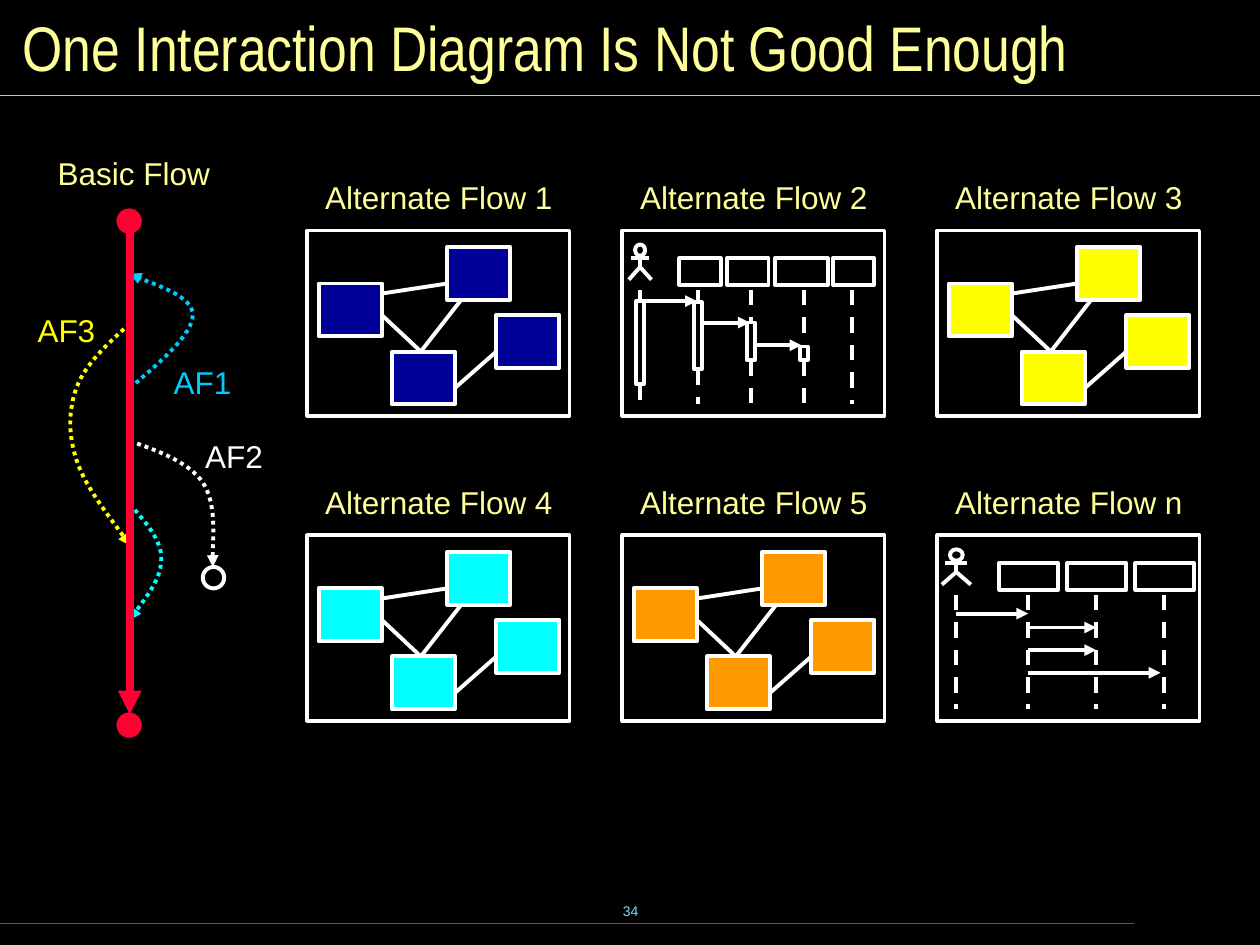
from lxml import etree
from pptx import Presentation
from pptx import util as u
from pptx.dml.color import RGBColor
from pptx.enum import dml, shapes, text
from pptx.oxml import ns

BLACK = RGBColor(0x00, 0x00, 0x00)
WHITE = RGBColor(0xFF, 0xFF, 0xFF)
CREAM = RGBColor(0xFF, 0xFF, 0x99)
RED = RGBColor(0xFF, 0x00, 0x33)
YELLOW = RGBColor(0xFF, 0xFF, 0x00)
CYAN = RGBColor(0x00, 0xFF, 0xFF)
SKY = RGBColor(0x00, 0xCC, 0xFF)
NAVY = RGBColor(0x00, 0x00, 0x99)
ORANGE = RGBColor(0xFF, 0x99, 0x00)
PALE_BLUE = RGBColor(0x73, 0xE1, 0xFF)
TEAL = RGBColor(0x00, 0x7E, 0x9F)

PANEL_W, PANEL_H = 2.08, 1.47
RECT = shapes.MSO_SHAPE.RECTANGLE
OVAL = shapes.MSO_SHAPE.OVAL


def style_line(line, color, width=2.25, dash=None, arrow=False):
    """Set colour, width, dash and end arrow of a line."""
    line.color.rgb = color
    line.width = u.Pt(width)
    if dash:
        line.dash_style = dash
    if arrow:
        outline = line._get_or_add_ln()
        etree.SubElement(outline, ns.qn("a:tailEnd"), type="triangle")


def add_line(parent, start, end, color=WHITE, **style):
    """Draw a straight line between two points."""
    line = parent.add_connector(shapes.MSO_CONNECTOR.STRAIGHT,
                                *map(u.Inches, (*start, *end)))
    style_line(line.line, color, **style)
    etree.SubElement(line.element.spPr, ns.qn("a:effectLst"))


def add_outline(parent, kind, box, color=WHITE, fill=None):
    """Draw a preset shape, hollow unless a fill is given."""
    outline = parent.add_shape(kind, *map(u.Inches, box))
    outline.shadow.inherit = False
    style_line(outline.line, color)
    if fill is None:
        outline.fill.background()
    else:
        outline.fill.solid()
        outline.fill.fore_color.rgb = fill


def add_polyline(parent, points, color=WHITE, **style):
    """Draw an open, unfilled outline through the points."""
    start, *rest = [tuple(map(u.Inches, point)) for point in points]
    builder = parent.build_freeform(*start)
    builder.add_line_segments(rest, close=False)
    outline = builder.convert_to_shape()
    outline.shadow.inherit = False
    outline.fill.background()
    style_line(outline.line, color, **style)
    return outline


def add_flow_curve(parent, points, color):
    """Draw a dotted arrow of Bezier segments, three points to a segment."""
    curve = add_polyline(parent, points, color, dash=dml.MSO_LINE.ROUND_DOT, arrow=True)
    steps = list(curve.element.iter(ns.qn("a:lnTo")))
    for first in range(0, len(steps), 3):
        bezier = etree.Element(ns.qn("a:cubicBezTo"))
        steps[first].addprevious(bezier)
        for step in steps[first:first + 3]:
            bezier.append(step[0])
            step.getparent().remove(step)


def add_label(parent, box, wording, color=CREAM, size=18, margins=(0.1, 0.05)):
    """Place a single line of text."""
    label = parent.add_textbox(*map(u.Inches, box))
    frame = label.text_frame
    frame.word_wrap = False
    frame.margin_left = frame.margin_right = u.Inches(margins[0])
    frame.margin_top = frame.margin_bottom = u.Inches(margins[1])
    frame.text = wording
    font = frame.paragraphs[0].runs[0].font
    font.name, font.size, font.color.rgb = "Arial", u.Pt(size), color
    return frame


def add_actor(parent, center, top, width):
    """Draw a stick figure around a centre line."""
    head, arm, leg = width * 0.44, width * 0.38, width / 2
    add_outline(parent, OVAL, (center - head / 2, top, head, 0.09))
    add_line(parent, (center, top + 0.09), (center, top + 0.18))
    add_line(parent, (center - arm, top + 0.11), (center + arm, top + 0.11))
    add_polyline(parent, [(center - leg, top + 0.28), (center, top + 0.18),
                          (center + leg, top + 0.28)])


def add_panel(slide, left, top, caption):
    """Place a captioned frame and return its group."""
    add_label(slide.shapes, (left + 0.14, top - 0.42, 1.81, 0.3), caption, margins=(0, 0))
    panel = slide.shapes.add_group_shape().shapes
    add_outline(panel, RECT, (left, top, PANEL_W, PANEL_H))
    return panel


def add_collaboration(slide, left, top, caption, fill):
    """Draw four linked objects in a panel."""
    panel = add_panel(slide, left, top, caption)
    links = [(0.59, 0.67, 0.9, 0.96), (0.59, 0.5, 1.11, 0.42),
             (0.9, 0.96, 1.22, 0.55), (1.17, 1.25, 1.5, 0.96)]
    for x1, y1, x2, y2 in links:
        add_line(panel, (left + x1, top + y1), (left + x2, top + y2))
    for x, y in [(0.09, 0.42), (0.67, 0.96), (1.5, 0.67), (1.11, 0.13)]:
        add_outline(panel, RECT, (left + x, top + y, 0.5, 0.42), fill=fill)


def add_sequence(slide, left, top, caption, actor_width, heads, lifelines, bars, messages):
    """Draw an actor, object heads, lifelines, activation bars and messages."""
    panel = add_panel(slide, left, top, caption)
    add_actor(panel, left + lifelines[0], top + 0.11, actor_width)
    for x, width in heads:
        add_outline(panel, RECT, (left + x, top + 0.22, width, 0.21))
    for index, x in enumerate(lifelines):
        spans = [(0.47, 1.38)]
        if index < len(bars):
            start, height = bars[index]
            spans = [(0.47, start), (start + height, 1.38)]
            add_outline(panel, RECT, (left + x - 0.03, top + start, 0.06, height))
        for y1, y2 in spans:
            add_line(panel, (left + x, top + y1), (left + x, top + y2),
                     dash=dml.MSO_LINE.DASH)
    for x1, x2, y in messages:
        add_line(panel, (left + x1, top + y), (left + x2, top + y), arrow=True)


def add_basic_flow(slide, left, top):
    """Draw the basic flow line with its alternate flow branches."""
    parent = slide.shapes
    curves = [
        (YELLOW, [(0, 0.9), (-0.18, 1.06), (-0.35, 1.22), (-0.42, 1.4), (-0.49, 1.59),
                  (-0.49, 1.78), (-0.42, 1.99), (-0.35, 2.2), (-0.07, 2.55), (0, 2.66)]),
        (CYAN, [(0, 2.33), (0.12, 2.47), (0.25, 2.61), (0.25, 2.76), (0.25, 2.92),
                (0.12, 3.08), (0, 3.25)]),
        (SKY, [(0, 1.41), (0.25, 1.2), (0.5, 0.98), (0.5, 0.83), (0.5, 0.68),
               (0.08, 0.55), (0, 0.5)]),
        (WHITE, [(0, 1.83), (0.23, 1.91), (0.47, 2), (0.58, 2.16), (0.69, 2.33),
                 (0.65, 2.72), (0.66, 2.83)]),
    ]
    for color, points in curves:
        add_flow_curve(parent, [(left + x, top + y) for x, y in points], color)
    for x, y, color, fill in [(-0.09, 4, RED, RED), (-0.09, 0, RED, RED),
                              (0.58, 2.83, WHITE, None)]:
        add_outline(parent, OVAL, (left + x, top + y, 0.17, 0.17), color, fill)
    for x, y, width, wording, color in [
            (0.25, 1.16, 0.66, "AF1", SKY), (0.5, 1.75, 0.66, "AF2", WHITE),
            (-0.83, 0.75, 0.66, "AF3", YELLOW), (-0.67, -0.5, 1.41, "Basic Flow", CREAM)]:
        add_label(parent, (left + x, top + y, width, 0.4), wording, color)
    add_line(parent, (left, top + 0.16), (left, top + 4), RED, width=4.5, arrow=True)


def add_title(slide, left, top, width, height):
    """Move and format the title placeholder."""
    title = slide.shapes.title
    title.left, title.top, title.width, title.height = map(
        u.Inches, (left, top, width, height))
    frame = title.text_frame
    frame.text = "One Interaction Diagram Is Not Good Enough"
    frame.vertical_anchor = text.MSO_ANCHOR.MIDDLE
    frame.auto_size = text.MSO_AUTO_SIZE.NONE
    frame.paragraphs[0].alignment = text.PP_ALIGN.LEFT
    font = frame.paragraphs[0].runs[0].font
    font.name, font.size, font.color.rgb = "Arial Narrow", u.Pt(36), CREAM


def add_page_furniture(slide):
    """Draw the header and footer rules and the page number."""
    add_line(slide.shapes, (0, 7.33), (9, 7.33), TEAL, width=0.75)
    add_line(slide.shapes, (0, 0.76), (10, 0.76), PALE_BLUE, width=0.75)
    number = add_label(slide.shapes, (3.42, 6.98, 3.17, 0.5), "34", PALE_BLUE, 8)
    number.vertical_anchor = text.MSO_ANCHOR.MIDDLE
    number.paragraphs[0].alignment = text.PP_ALIGN.CENTER


def main():
    """Build and save the slide."""
    deck = Presentation()
    deck.slide_width, deck.slide_height = u.Inches(10), u.Inches(7.5)
    slide = deck.slides.add_slide(deck.slide_layouts[5])
    slide.background.fill.solid()
    slide.background.fill.fore_color.rgb = BLACK
    add_page_furniture(slide)
    add_title(slide, 0.08, 0.08, 9.84, 0.58)
    add_basic_flow(slide, 1.03, 1.67)

    columns, rows = [2.44 + 2.5 * column for column in range(3)], [1.83, 4.25]
    for column, row, name, fill in [(0, 0, "1", NAVY), (2, 0, "3", YELLOW),
                                    (0, 1, "4", CYAN), (1, 1, "5", ORANGE)]:
        add_collaboration(slide, columns[column], rows[row], f"Alternate Flow {name}", fill)
    add_sequence(slide, columns[1], rows[0], "Alternate Flow 2", 0.18,
                 heads=[(0.45, 0.33), (0.83, 0.33), (1.21, 0.42), (1.67, 0.33)],
                 lifelines=[0.14, 0.6, 1.02, 1.44, 1.82],
                 bars=[(0.56, 0.66), (0.57, 0.53), (0.73, 0.3), (0.92, 0.11)],
                 messages=[(0.13, 0.59, 0.56), (0.62, 1.01, 0.73), (1.06, 1.42, 0.91)])
    add_sequence(slide, columns[2], rows[1], "Alternate Flow n", 0.23,
                 heads=[(0.49 + 0.54 * index, 0.47) for index in range(3)],
                 lifelines=[0.15, 0.72, 1.26, 1.8], bars=[],
                 messages=[(0.15, 0.72, 0.62), (0.72, 1.26, 0.73),
                           (0.72, 1.26, 0.91), (0.72, 1.77, 1.09)])
    deck.save("out.pptx")


if __name__ == "__main__":
    main()
